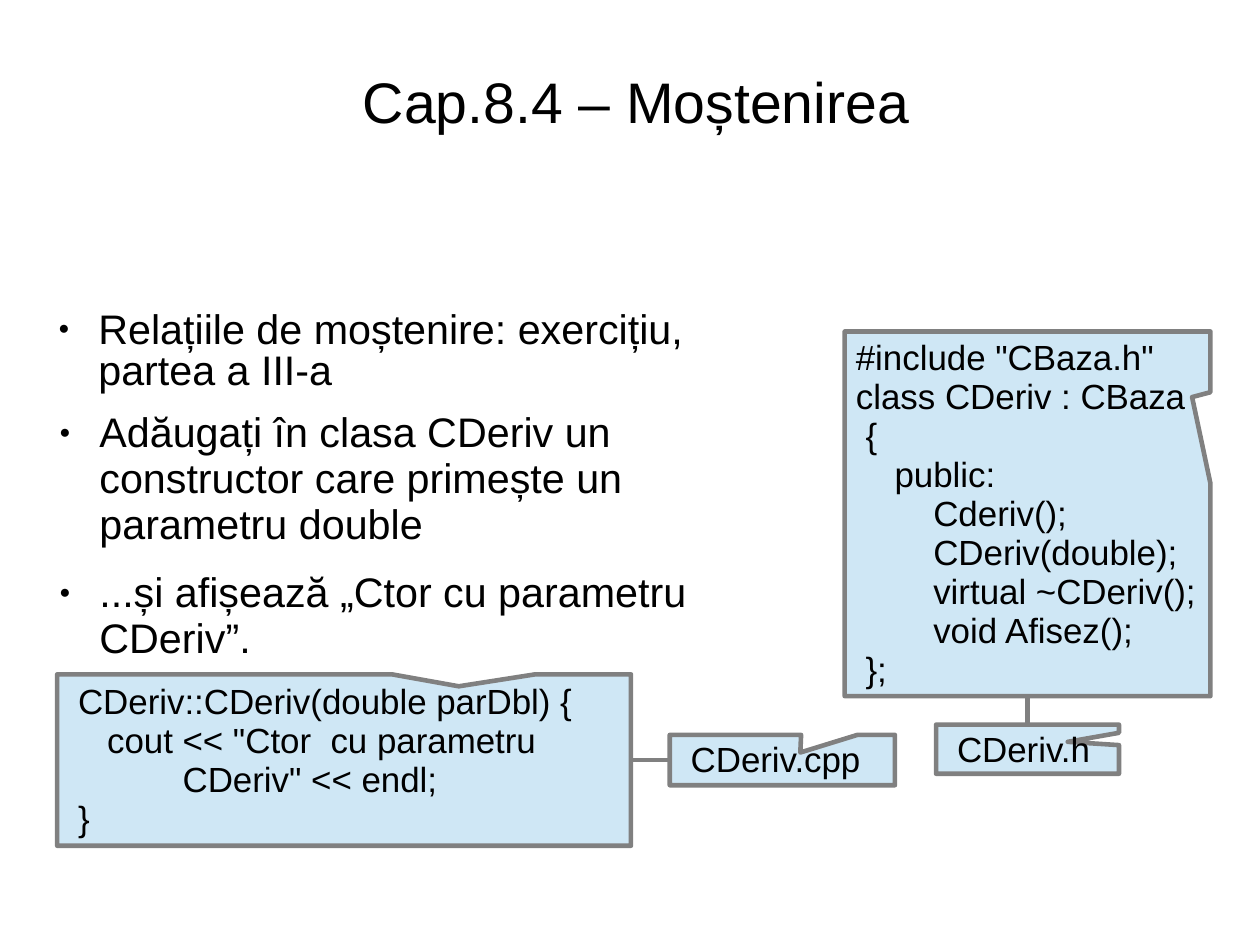
from dataclasses import dataclass

from lxml import etree
from pptx import Presentation
from pptx.dml.color import RGBColor
from pptx.enum import shapes, text
from pptx.oxml import ns
from pptx.util import Inches, Pt

BLACK, GREY, BLUE = "000000", "808080", "CFE7F5"
FONT = "Arial"


@dataclass
class Note:
    left: float
    top: float
    width: float
    height: float
    tip: tuple[float, float]
    code: str


@dataclass
class Block:
    left: float
    top: float
    width: float
    height: float
    size: int
    space: float
    body: str
    listed: bool = True


HEAD = Note(7.39, 2.9, 3.2, 3.19, (0.45, -0.32), """#include "CBaza.h"
class CDeriv : CBaza
 {
    public:
        Cderiv();
        CDeriv(double);
        virtual ~CDeriv();
        void Afisez();
 };""")
BODY = Note(0.5, 5.9, 5.02, 1.5, (0.2, -0.43), """ CDeriv::CDeriv(double parDbl) {
    cout << "Ctor  cu parametru
\t\tCDeriv" << endl;
 }""")
HFILE = Note(8.19, 6.34, 1.6, 0.43, (0.22, -0.15), " CDeriv.h")
CFILE = Note(5.86, 6.43, 1.97, 0.44, (0.08, -0.15), " CDeriv.cpp")

BLOCKS = [
    Block(0.36, 0.28, 10.41, 1.24, 36, 0.93, "Cap.8.4 – Moștenirea", False),
    Block(0.39, 2.7, 5.71, 0.81, 26, 0.83,
          "Relațiile de moștenire: exercițiu, partea a III-a"),
    Block(0.4, 3.56, 5.7, 2.22, 26, 0.93,
          "Adăugați în clasa CDeriv un constructor care primește un parametru double\n"
          "...și afișează „Ctor cu parametru CDeriv”."),
]


def rgb(code: str) -> RGBColor:
    return RGBColor.from_string(code)


def sub(node, tag: str, **attrs: str):
    return etree.SubElement(node, ns.qn(tag), attrs)


def inset(frame, left: float, top: float, right: float, base: float) -> None:
    frame.margin_left, frame.margin_top = Inches(left), Inches(top)
    frame.margin_right, frame.margin_bottom = Inches(right), Inches(base)


def style(para, size: int, space: float) -> None:
    para.line_spacing = space
    for run in para.runs:
        run.font.name = FONT
        run.font.size = Pt(size)
        run.font.color.rgb = rgb(BLACK)


def bullet(para) -> None:
    props = para._p.get_or_add_pPr()
    props.set("marL", str(Inches(0.47)))
    props.set("indent", str(Inches(-0.35)))
    sub(sub(props, "a:buClr"), "a:srgbClr", val=BLACK)
    sub(props, "a:buSzPct", val="45000")
    sub(props, "a:buFont", typeface=FONT)
    sub(props, "a:buChar", char="●")
    para.space_after = Pt(14.1)


def tabs(para) -> None:
    stops = sub(para._p.get_or_add_pPr(), "a:tabLst")
    for step in (0.5, 1):
        sub(stops, "a:tab", pos=str(Inches(step)), algn="l")


def write(slide, block: Block) -> None:
    box = slide.shapes.add_textbox(Inches(block.left), Inches(block.top),
                                   Inches(block.width), Inches(block.height))
    frame = box.text_frame
    frame.word_wrap = True
    inset(frame, 0, 0.03, 0, 0)
    frame.text = block.body
    if not block.listed:
        frame.vertical_anchor = text.MSO_ANCHOR.MIDDLE
    for para in frame.paragraphs:
        if block.listed:
            bullet(para)
        else:
            para.alignment = text.PP_ALIGN.CENTER
        style(para, block.size, block.space)


def draw(slide, note: Note):
    box = slide.shapes.add_shape(
        shapes.MSO_SHAPE.RECTANGULAR_CALLOUT, Inches(note.left), Inches(note.top),
        Inches(note.width), Inches(note.height))
    box.adjustments[0], box.adjustments[1] = note.tip
    box.shadow.inherit = False
    box.fill.solid()
    box.fill.fore_color.rgb = rgb(BLUE)
    box.line.color.rgb = rgb(GREY)
    box.line.width = Pt(2.89)
    frame = box.text_frame
    frame.word_wrap = False
    frame.vertical_anchor = text.MSO_ANCHOR.MIDDLE
    inset(frame, 0.1, 0.07, 0.1, 0.05)
    frame.text = note.code
    for para in frame.paragraphs:
        para.alignment = text.PP_ALIGN.LEFT
        tabs(para)
        style(para, 22, 0.93)
    return box


def join(slide, start, out: int, end, into: int) -> None:
    link = slide.shapes.add_connector(shapes.MSO_CONNECTOR.STRAIGHT, 0, 0, 0, 0)
    link.begin_connect(start, out)
    link.end_connect(end, into)
    link.line.color.rgb = rgb(GREY)
    link.line.width = Pt(2.89)
    sub(link._element.spPr, "a:effectLst")


def main() -> None:
    deck = Presentation()
    deck.slide_width, deck.slide_height = Inches(28 / 2.54), Inches(21 / 2.54)
    slide = deck.slides.add_slide(deck.slide_layouts[6])
    for block in BLOCKS:
        write(slide, block)
    hfile, head, cfile, body = [draw(slide, n) for n in (HFILE, HEAD, CFILE, BODY)]
    join(slide, hfile, 0, head, 2)
    join(slide, cfile, 1, body, 3)
    deck.save("out.pptx")


if __name__ == "__main__":
    main()
